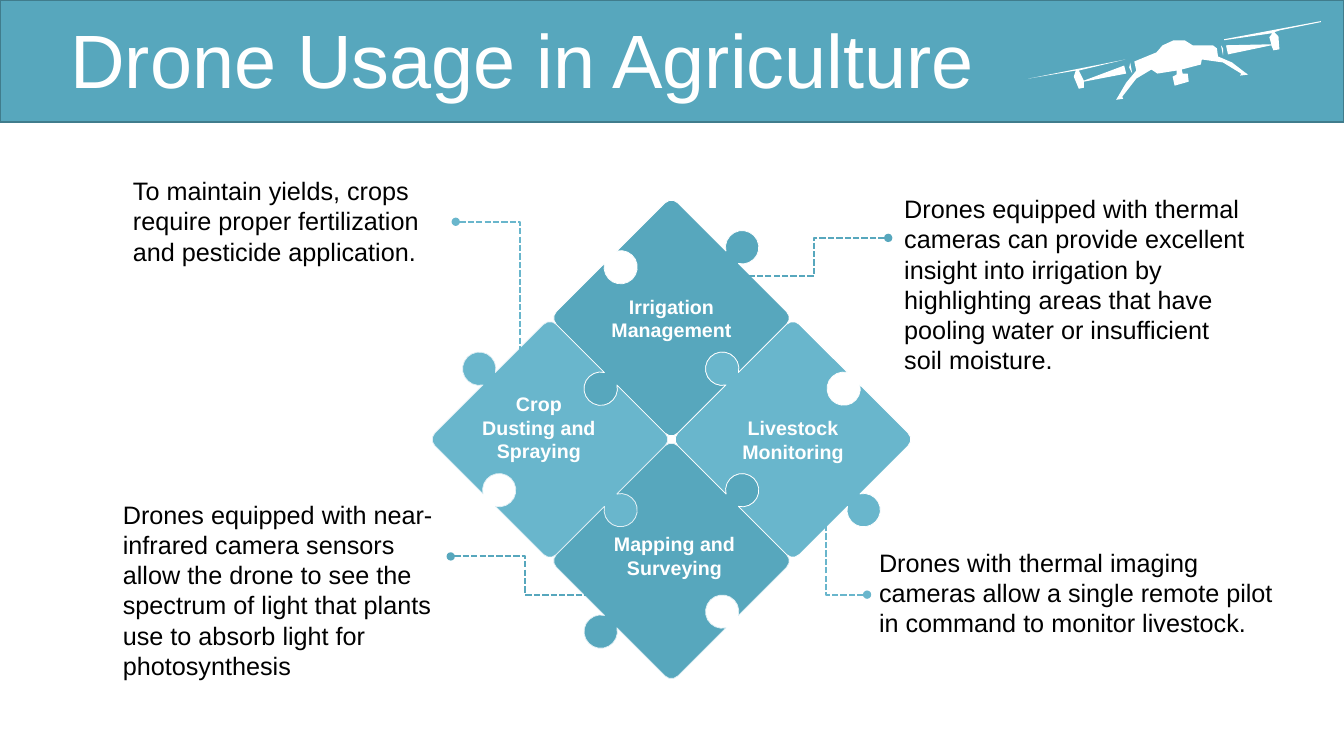
from math import asin, cos, pi, radians, sin, sqrt

from lxml import etree
from pptx import Presentation
from pptx.dml.color import RGBColor
from pptx.enum.dml import MSO_LINE
from pptx.enum.shapes import MSO_CONNECTOR, MSO_SHAPE
from pptx.enum.text import MSO_ANCHOR, PP_ALIGN
from pptx.oxml.ns import qn
from pptx.util import Inches, Pt

ELBOW = MSO_CONNECTOR.ELBOW
RECTANGLE = MSO_SHAPE.RECTANGLE
MIDDLE, TOP = MSO_ANCHOR.MIDDLE, MSO_ANCHOR.TOP
LEFT, CENTER = PP_ALIGN.LEFT, PP_ALIGN.CENTER
SHORT_DASH = MSO_LINE.SQUARE_DOT

FONT = "Arial"
COLORS = {"teal": "57A7BD", "sky": "69B6CC", "edge": "407C8C",
          "mist": "E2F0F5", "white": "FFFFFF", "black": "000000"}
WIDTH, HEIGHT = 13.33, 7.5

# Drone outlines, in inches from the corner of the header
DRONE = {
    "right rotor": [
        (12.14, 0.39), (13.1, 0.21), (13.1, 0.22), (12.7, 0.3), (12.64, 0.32),
        (12.68, 0.36), (12.69, 0.49), (12.63, 0.5), (12.61, 0.45), (12.18, 0.54),
        (12.16, 0.45), (12.61, 0.44), (12.59, 0.37), (12.62, 0.33), (12.14, 0.4)],
    "left rotor": [
        (11.15, 0.65), (11.17, 0.73), (10.75, 0.81), (10.75, 0.87), (10.7, 0.88),
        (10.65, 0.76), (10.67, 0.7), (10.2, 0.78), (11.16, 0.59), (10.7, 0.7),
        (10.75, 0.8)],
    "left joint": [(11.21, 0.62), (11.23, 0.73), (11.2, 0.67)],
    "right joint": [(12.11, 0.45), (12.13, 0.48), (12.13, 0.55)],
    "body": [
        (12.35, 0.72), (12.22, 0.62), (12.08, 0.56), (12.07, 0.48), (12.03, 0.45),
        (11.83, 0.45), (11.75, 0.4), (11.64, 0.4), (11.53, 0.45), (11.47, 0.52),
        (11.25, 0.61), (11.27, 0.7), (11.17, 0.82), (11.07, 0.99), (11.14, 0.98),
        (11.13, 0.96), (11.27, 0.78), (11.42, 0.69), (11.48, 0.73), (11.67, 0.7),
        (11.67, 0.74), (11.63, 0.76), (11.65, 0.85), (11.79, 0.81), (11.78, 0.73),
        (11.73, 0.73), (11.72, 0.69), (11.91, 0.64), (11.92, 0.59), (12.13, 0.62),
        (12.31, 0.73), (12.3, 0.75), (12.38, 0.74)],
}

# Label, column and row of the piece, label offset, fill, outline
PIECES = [
    ("Crop Dusting and Spraying", 1, 2, (-0.11, -0.12), "sky", "mist"),
    ("Irrigation Management", 2, 1, (0, 0), "teal", "white"),
    ("Mapping and Surveying", 2, 3, (0.03, -0.05), "teal", "mist"),
    ("Livestock Monitoring", 3, 2, (0, 0), "sky", "white"),
]

# Text, box, leader start within the box, leader reach, bend share, colour
CALLOUTS = [
    ("Drones equipped with near-infrared camera sensors allow the drone to see "
     "the spectrum of light that plants use to absorb light for photosynthesis",
     (1.12, 4.9, 3.41, 1.92), (3.35, 0.62), (1.48, 0.38), 0.5, "teal"),
    ("To maintain yields, crops require proper fertilization and pesticide "
     "application.",
     (1.22, 1.69, 3.05, 1.01), (3.3, 0.51), (0.64, 1.45), 1, "sky"),
    ("Drones equipped with thermal cameras can provide excellent insight into "
     "irrigation by highlighting areas that have pooling water or insufficient "
     "soil moisture.",
     (8.87, 1.87, 3.6, 1.92), (-0.06, 0.49), (-1.48, 0.38), 0.5, "teal"),
    ("Drones with thermal imaging cameras allow a single remote pilot in command "
     "to monitor livestock.",
     (8.62, 5.38, 4.34, 1.01), (-0.02, 0.52), (-0.41, -0.8), 1, "sky"),
]


def color(name):
    return RGBColor.from_string(COLORS[name])


def add_text(s, box, text, size, ink, bold=False, align=LEFT, anchor=TOP):
    tf = s.shapes.add_textbox(*map(Inches, box)).text_frame
    tf.word_wrap = True
    tf.vertical_anchor = anchor
    tf.text = text
    p = tf.paragraphs[0]
    p.alignment = align
    font = p.runs[0].font
    font.name, font.size, font.bold = FONT, Pt(size), bold
    font.color.rgb = color(ink)
    return p


def style(sp, fill, line=None, width=0.5):
    sp.shadow.inherit = False
    sp.fill.solid()
    sp.fill.fore_color.rgb = color(fill)
    if line:
        sp.line.color.rgb = color(line)
        sp.line.width = Pt(width)
    else:
        sp.line.fill.background()


def add_outline(group, points, fill, line=None):
    """Closed polygon through points given in inches."""
    points = [(round(x * 1000), round(y * 1000)) for x, y in points]
    builder = group.shapes.build_freeform(*points[0], scale=914.4)
    builder.add_line_segments(points[1:], close=True)
    style(builder.convert_to_shape(), fill, line)


def header(s, box):
    x, y, w, h = box
    band = s.shapes.add_shape(RECTANGLE, *map(Inches, box))
    style(band, "teal", "edge", 1)
    # Drone
    drone = s.shapes.add_group_shape()
    for points in DRONE.values():
        add_outline(drone, [(x + px, y + py) for px, py in points], "white")
    # Title
    title = add_text(s, (x + 0.6, y + 0.2 * h, 0.93 * w, 0.65 * h),
                     "Drone Usage in Agriculture", 54, "white", anchor=MIDDLE)
    title.line_spacing = 0.9


def piece_points(cx, cy, half, first):
    """Diamond whose sides alternate knob (1) and notch (-1) from the lower right."""
    corner, radius, offset = 0.09, 0.165, 0.14
    neck = pi - asin(sqrt(radius ** 2 - offset ** 2) / radius)
    points = []
    for side in range(4):
        kind = first * (-1) ** side
        angle = radians(45 + 90 * side)
        arcs = [(radius * sin(a), half + kind * (offset + radius * cos(a)))
                for a in (neck * i / 8 for i in range(-8, 9))]
        arcs += [(half - corner + corner * sin(a), half - corner + corner * cos(a))
                 for a in (pi / 2 * i / 3 for i in range(4))]
        points += [(cx + n * cos(angle) - t * sin(angle),
                    cy + n * sin(angle) + t * cos(angle)) for t, n in arcs]
    return points


def puzzle(s, box):
    x, y, w, h = box
    step_x, step_y = w / 4, h / 4
    group = s.shapes.add_group_shape()
    for label, col, row, (dx, dy), fill, line in PIECES:
        cx, cy = x + col * step_x, y + row * step_y
        first = -1 if col == 2 else 1
        add_outline(group, piece_points(cx, cy, step_x / sqrt(2), first), fill, line)
        add_text(s, (cx + dx - 0.71, cy + dy - 0.4, 1.42, 0.8), label, 14, "white",
                 bold=True, align=CENTER, anchor=MIDDLE)


def callout(s, box, text, start, reach, bend, ink):
    x, y = box[0] + start[0], box[1] + start[1]
    ends = (x, y, x + reach[0], y + reach[1])
    leader = s.shapes.add_connector(ELBOW, *map(Inches, ends))
    leader.line.color.rgb = color(ink)
    leader.line.width = Pt(1.5)
    leader.line.dash_style = SHORT_DASH
    # Bend position, round ends, no shadow
    props = leader.element.spPr
    guides = props.find(qn("a:prstGeom")).get_or_add_avLst()
    etree.SubElement(guides, qn("a:gd"), name="adj1", fmla=f"val {int(bend * 100000)}")
    for end in ("a:headEnd", "a:tailEnd"):
        etree.SubElement(props.get_or_add_ln(), qn(end), type="oval")
    etree.SubElement(props, qn("a:effectLst"))
    add_text(s, box, text, 18, "black")


def main():
    prs = Presentation()
    prs.slide_width, prs.slide_height = Inches(WIDTH), Inches(HEIGHT)
    s = prs.slides.add_slide(prs.slide_layouts[6])
    header(s, (0, 0, WIDTH, 1.21))
    puzzle(s, (4.25, 1.95, 4.82, 4.82))
    for text, box, start, reach, bend, ink in CALLOUTS:
        callout(s, box, text, start, reach, bend, ink)
    prs.save("out.pptx")


if __name__ == "__main__":
    main()
